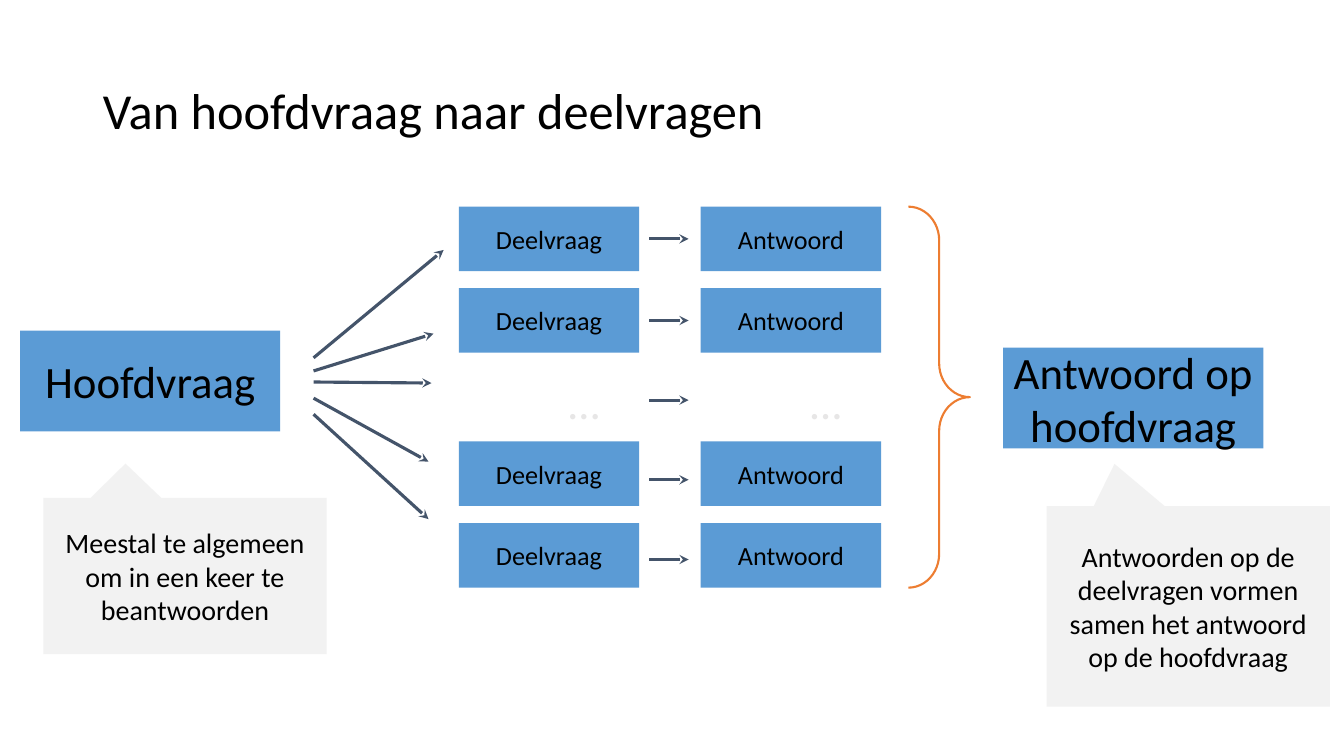
from dataclasses import dataclass

import lxml.etree
import pptx
import pptx.dml.color
import pptx.enum.shapes
import pptx.enum.text
import pptx.oxml.ns
import pptx.util

SCALE = 9144
SHAPES = pptx.enum.shapes.MSO_SHAPE
ALIGN = pptx.enum.text.PP_ALIGN
ANCHOR = pptx.enum.text.MSO_ANCHOR


@dataclass(frozen=True)
class Theme:
    font: str = "Calibri"
    text: str = "000000"
    box: str = "5B9BD5"
    callout: str = "F2F2F2"
    dots: str = "E7E6E6"
    arrow: str = "44546A"
    brace: str = "ED7D31"
    title_size: float = 36
    main_size: float = 32
    callout_size: float = 20
    step_size: float = 18.7
    arrow_width: float = 2.25
    brace_width: float = 1.5


THEME = Theme()


def px(*lengths):
    return [pptx.util.Emu(length * SCALE) for length in lengths]


def rgb(value):
    return pptx.dml.color.RGBColor.from_string(value)


def write(shape, text, size, color=THEME.text, align=ALIGN.CENTER, anchor=ANCHOR.MIDDLE):
    frame = shape.text_frame
    frame.text = text
    frame.word_wrap = True
    frame.vertical_anchor = anchor
    paragraph = frame.paragraphs[0]
    paragraph.alignment = align
    paragraph.font.name = THEME.font
    paragraph.font.size = pptx.util.Pt(size)
    paragraph.font.color.rgb = rgb(color)
    return paragraph


def set_title(slide, text):
    title = slide.shapes.title
    title.left, title.top, title.width, title.height = px(92, 40, 1150, 145)
    paragraph = write(title, text, THEME.title_size, align=ALIGN.LEFT)
    paragraph.line_spacing = 0.9


def add_filled(slide, kind, bounds, fill, text, size):
    shape = slide.shapes.add_shape(kind, *px(*bounds))
    shape.shadow.inherit = False
    shape.fill.solid()
    shape.fill.fore_color.rgb = rgb(fill)
    shape.line.fill.background()
    write(shape, text, size)
    return shape


def add_box(slide, bounds, text, size):
    add_filled(slide, SHAPES.RECTANGLE, bounds, THEME.box, text, size)


def add_callout(slide, bounds, tip, text):
    callout = add_filled(slide, SHAPES.RECTANGULAR_CALLOUT, bounds,
                         THEME.callout, text, THEME.callout_size)
    callout.adjustments[0], callout.adjustments[1] = tip


def add_dots(slide, left, top):
    dots = slide.shapes.add_textbox(*px(left, top, 61, 64))
    write(dots, "…", THEME.main_size, THEME.dots, ALIGN.LEFT, ANCHOR.TOP)


def add_arrow(slide, start, end):
    arrow = slide.shapes.add_connector(
        pptx.enum.shapes.MSO_CONNECTOR.STRAIGHT, *px(*start, *end))
    arrow.line.color.rgb = rgb(THEME.arrow)
    arrow.line.width = pptx.util.Pt(THEME.arrow_width)
    qn = pptx.oxml.ns.qn
    lxml.etree.SubElement(arrow.line._get_or_add_ln(), qn("a:tailEnd"), type="stealth")
    lxml.etree.SubElement(arrow._element.spPr, qn("a:effectLst"))


def add_brace(slide, bounds):
    brace = slide.shapes.add_shape(SHAPES.RIGHT_BRACE, *px(*bounds))
    brace.shadow.inherit = False
    brace.adjustments[0] = 0.55
    brace.fill.background()
    brace.line.color.rgb = rgb(THEME.brace)
    brace.line.width = pptx.util.Pt(THEME.brace_width)


def main():
    presentation = pptx.Presentation()
    presentation.slide_width, presentation.slide_height = px(1333, 750)
    slide = presentation.slides.add_slide(presentation.slide_layouts[5])

    set_title(slide, "Van hoofdvraag naar deelvragen")
    add_box(slide, (20, 328, 258, 100), "Hoofdvraag", THEME.main_size)
    add_box(slide, (995, 345, 258, 100), "Antwoord op hoofdvraag", THEME.main_size)

    for left, label in ((455, "Deelvraag"), (695, "Antwoord")):
        for top in (205, 286, 438, 519):
            add_box(slide, (left, top, 179, 64), label, THEME.step_size)
        add_dots(slide, left + 99, 367)

    for start_y, end in ((355, (440, 248)), (368, (430, 331)), (379, (428, 380)),
                         (395, (425, 458)), (411, (425, 515))):
        add_arrow(slide, (311, start_y), end)
    for y in (237, 318, 397, 476, 555):
        add_arrow(slide, (644, y), (683, y))

    add_brace(slide, (901, 205, 61, 378))
    add_callout(slide, (43, 494, 281, 155), (-0.21, -0.72),
                "Meestal te algemeen om in een keer te beantwoorden")
    add_callout(slide, (1038, 502, 281, 199), (-0.26, -0.71),
                "Antwoorden op de deelvragen vormen samen het antwoord op de hoofdvraag")

    presentation.save("out.pptx")


if __name__ == "__main__":
    main()
